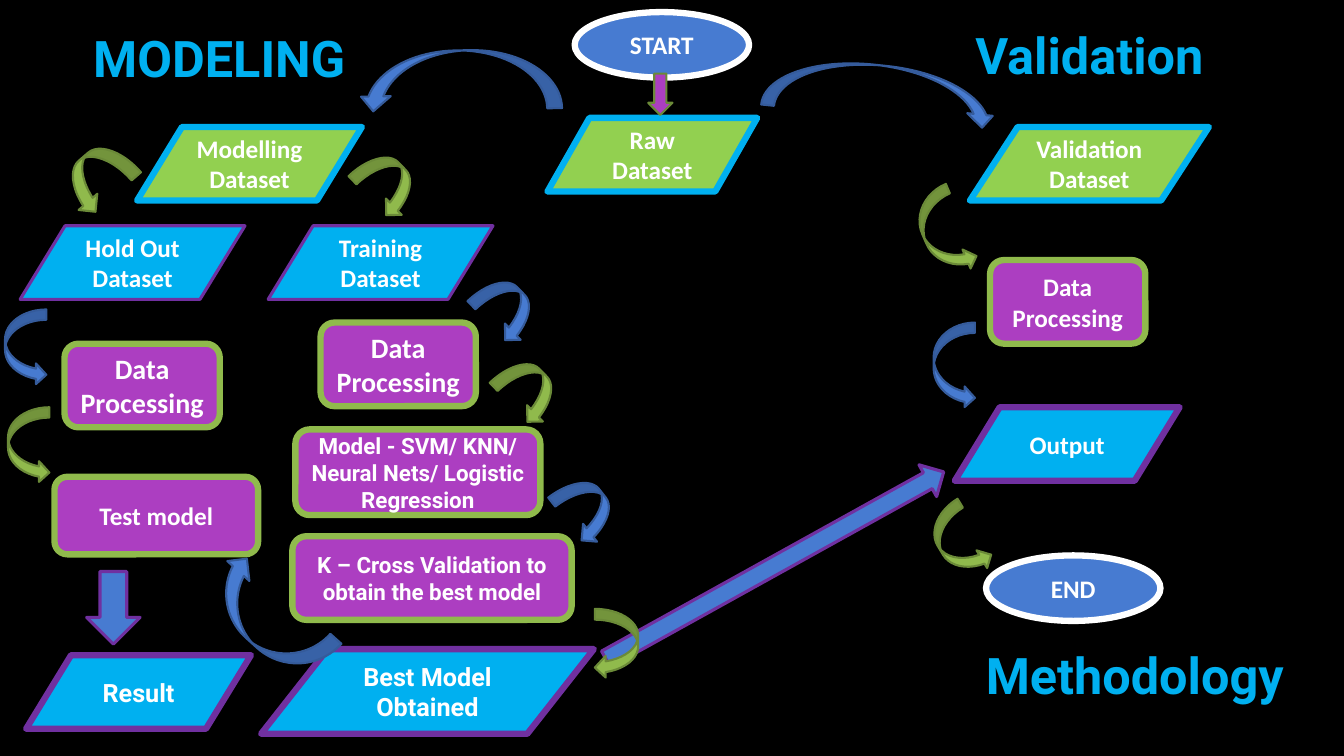
from pptx import Presentation
from pptx.dml.color import RGBColor
from pptx.enum.shapes import MSO_SHAPE
from pptx.enum.text import MSO_ANCHOR, PP_ALIGN
from pptx.oxml.ns import qn
from pptx.util import Inches, Pt

OVAL = MSO_SHAPE.OVAL
DATA = MSO_SHAPE.FLOWCHART_DATA
ROUND = MSO_SHAPE.ROUNDED_RECTANGLE
DOWN = MSO_SHAPE.DOWN_ARROW
RIGHT = MSO_SHAPE.RIGHT_ARROW
CURVE_DOWN = MSO_SHAPE.CURVED_DOWN_ARROW
CURVE_LEFT = MSO_SHAPE.CURVED_LEFT_ARROW
CURVE_RIGHT = MSO_SHAPE.CURVED_RIGHT_ARROW
TOP, MIDDLE = MSO_ANCHOR.TOP, MSO_ANCHOR.MIDDLE
CENTER = PP_ALIGN.CENTER

BLACK = RGBColor(0x00, 0x00, 0x00)
WHITE = RGBColor(0xFF, 0xFF, 0xFF)
SKY = RGBColor(0x00, 0xB0, 0xF0)
BLUE = RGBColor(0x47, 0x7B, 0xD1)
NAVY = RGBColor(0x35, 0x5B, 0x9B)
LIME = RGBColor(0x92, 0xD0, 0x50)
GREEN = RGBColor(0x90, 0xBA, 0x4C)
OLIVE = RGBColor(0x6B, 0x8A, 0x38)
MAGENTA = RGBColor(0xAC, 0x3E, 0xC1)
PURPLE = RGBColor(0x70, 0x30, 0xA0)

# The slide is a grid of 133.3 columns by 75 rows, each cell a tenth of an inch.
CELL = Inches(0.1)

prs = Presentation()
prs.slide_width = int(133.3 * CELL)
prs.slide_height = 75 * CELL
s = prs.slides.add_slide(prs.slide_layouts[6])
s.background.fill.solid()
s.background.fill.fore_color.rgb = BLACK


def add_block(kind, place, size, fill, line, weight):
    sp = s.shapes.add_shape(kind, *(int(n * CELL) for n in place + size))
    sp.shadow.inherit = False
    sp.fill.solid()
    sp.fill.fore_color.rgb = fill
    sp.line.color.rgb = line
    sp.line.width = Pt(weight)
    return sp


def write(sp, text, font, size, color, anchor=MIDDLE):
    tf = sp.text_frame
    tf.word_wrap = True
    tf.vertical_anchor = anchor
    p = tf.paragraphs[0]
    p.alignment = CENTER
    r = p.add_run()
    r.text = text
    r.font.name = font
    r.font.size = Pt(size)
    r.font.bold = True
    r.font.color.rgb = color


# Headings
HEADING = (33.5, 7.5)
for text, place, anchor in [
    ("MODELING", (5, 1.9), MIDDLE),
    ("Validation", (91.3, 1.9), TOP),
    ("Methodology", (95.8, 63.4), TOP),
]:
    sp = s.shapes.add_textbox(*(int(n * CELL) for n in place + HEADING))
    write(sp, text, "Roboto", 36, SKY, anchor)

# Flowchart steps: each style is shape, fill, line colour, line width
TERMINAL = (OVAL, BLUE, WHITE, 4.5)
SOURCE = (DATA, LIME, SKY, 4.5)
SPLIT = (DATA, SKY, PURPLE, 2.25)
RESULT = (DATA, SKY, PURPLE, 4.5)
PROCESS = (ROUND, MAGENTA, GREEN, 4.5)

END_SIZE = (17.3, 6.5)
DATA_SIZE = (22.3, 7.3)
STEP_SIZE = (15.4, 8.3)

steps = [
    ("START", TERMINAL, (57, 1.2), END_SIZE, "Calibri", 18),
    ("Raw Dataset", SOURCE, (54.3, 11.7), (20.8, 7.3), "Calibri", 18),
    ("Modelling Dataset", SOURCE, (13.6, 12.6), DATA_SIZE, "Calibri", 18),
    ("Validation Dataset", SOURCE, (96.2, 12.6), (23.7, 7.3), "Calibri", 18),
    ("Hold Out Dataset", SPLIT, (2, 22.4), DATA_SIZE, "Calibri", 18),
    ("Training Dataset", SPLIT, (26.6, 22.4), DATA_SIZE, "Calibri", 18),
    ("Data Processing", PROCESS, (6.4, 34.1), STEP_SIZE, "Calibri", 20),
    ("Data Processing", PROCESS, (31.8, 32), STEP_SIZE, "Calibri", 20),
    ("Data Processing", PROCESS, (98.2, 25.8), STEP_SIZE, "Calibri", 18),
    ("Model - SVM/ KNN/ Neural Nets/ Logistic Regression", PROCESS,
     (29.3, 42.6), (24.3, 8.5), "Roboto", 16),
    ("K – Cross Validation to obtain the best model", PROCESS,
     (29, 53.2), (27.7, 8.3), "Roboto", 16),
    ("Test model", PROCESS, (5.4, 47.3), (20.2, 7.7), "Calibri", 18),
    ("Result", RESULT, (2.6, 65), DATA_SIZE, "Roboto", 18),
    ("Best Model Obtained", RESULT, (25.9, 64.4), (33, 8.4), "Roboto", 18),
    ("Output", RESULT, (94.7, 40.4), DATA_SIZE, "Calibri", 18),
    ("END", TERMINAL, (97.8, 55.1), END_SIZE, "Calibri", 18),
]
for text, (kind, fill, line, weight), place, size, font, points in steps:
    sp = add_block(kind, place, size, fill, line, weight)
    write(sp, text, font, points, WHITE)

# Arrows: each style is fill, line colour, line width
BLUE_CURVE = (BLUE, NAVY, 1.5)
GREEN_CURVE = (GREEN, OLIVE, 1.5)
START_ARROW = (MAGENTA, OLIVE, 1.5)
BLOCK_ARROW = (BLUE, PURPLE, 2.25)

CURL = (6.5, 4.5)
HOOK = (4.1, 7.5)

arrows = [
    (DOWN, START_ARROW, (64.3, 7.3), (2.4, 4.1), 0, ""),
    (CURVE_DOWN, BLUE_CURVE, (75.7, 6.5), (23.3, 5.1), 6, ""),
    (CURVE_DOWN, BLUE_CURVE, (35.5, 5), (20.2, 5.9), 359, "H"),
    (CURVE_RIGHT, GREEN_CURVE, (7.2, 14), (4.9, 7.2), 49, ""),
    (CURVE_DOWN, GREEN_CURVE, (35.2, 16), CURL, 46, ""),
    (CURVE_DOWN, BLUE_CURVE, (47, 28.4), CURL, 46, ""),
    (CURVE_DOWN, GREEN_CURVE, (49.2, 36.5), CURL, 46, ""),
    (CURVE_DOWN, BLUE_CURVE, (54.9, 48.3), CURL, 52, ""),
    (CURVE_LEFT, BLUE_CURVE, (0.5, 30.7), HOOK, 0, "H"),
    (CURVE_LEFT, GREEN_CURVE, (0.8, 40.4), HOOK, 0, "H"),
    (CURVE_LEFT, GREEN_CURVE, (91.6, 18.7), (4.1, 8.8), 337, "H"),
    (CURVE_LEFT, BLUE_CURVE, (92.6, 32), (4.1, 8.5), 0, "H"),
    (CURVE_LEFT, GREEN_CURVE, (93.1, 50), HOOK, 329, "H"),
    (CURVE_DOWN, BLUE_CURVE, (19.6, 58.4), (14.1, 5.9), 42, "HV"),
    (DOWN, BLOCK_ARROW, (8.6, 56.7), (5.3, 7.2), 0, ""),
    (RIGHT, BLOCK_ARROW, (57.7, 54.3), (38.3, 3.6), 331, ""),
    (CURVE_LEFT, GREEN_CURVE, (59, 60.4), (4.3, 6.9), 0, ""),
]
for kind, style, place, size, angle, flips in arrows:
    sp = add_block(kind, place, size, *style)
    sp.rotation = angle
    for axis in flips:
        sp._element.spPr.find(qn("a:xfrm")).set("flip" + axis, "1")

prs.save("out.pptx")
